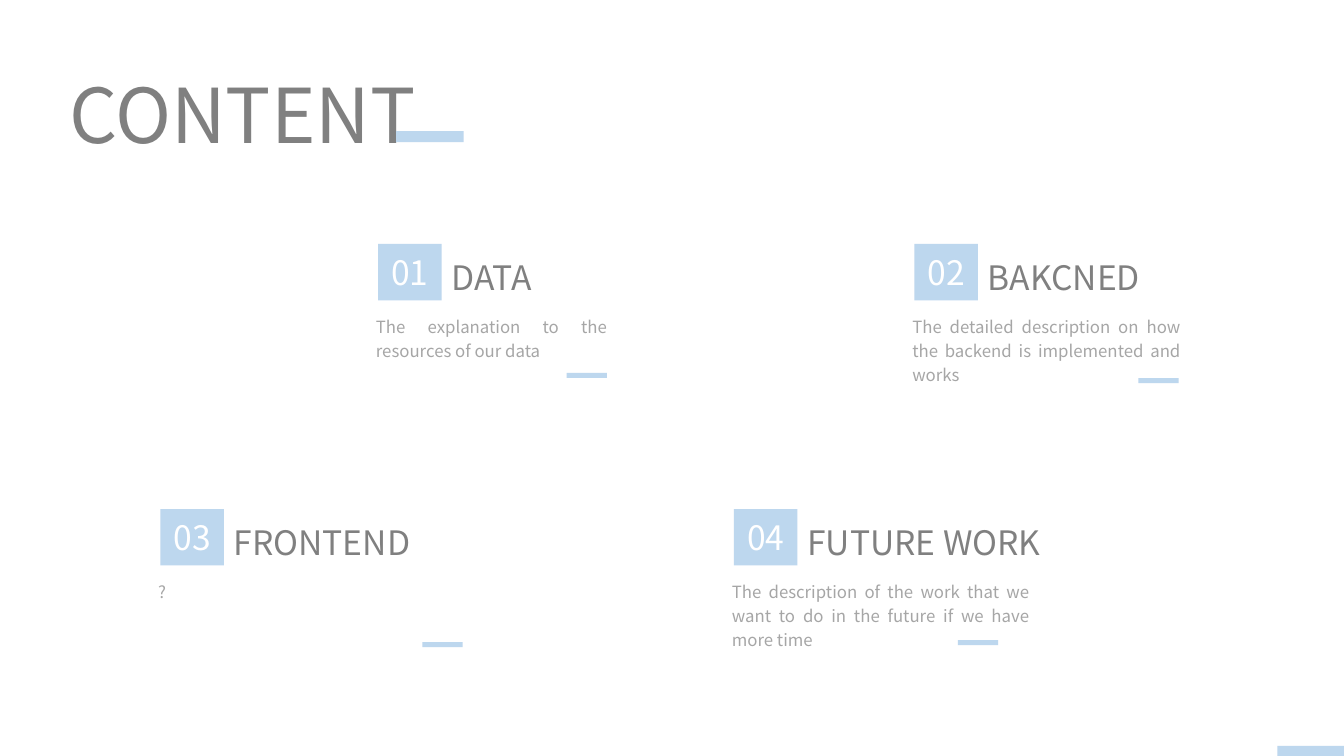
from dataclasses import dataclass

from pptx import Presentation
from pptx.dml.color import RGBColor
from pptx.enum import shapes, text
from pptx.shapes.autoshape import Shape
from pptx.slide import Slide
from pptx.util import Inches, Pt

FONT = "Noto Sans CJK SC"
BLUE = RGBColor(0xBD, 0xD7, 0xEE)
WHITE = RGBColor(0xFF, 0xFF, 0xFF)
DARK_GRAY = RGBColor(0x80, 0x80, 0x80)
LIGHT_GRAY = RGBColor(0xA6, 0xA6, 0xA6)


@dataclass(frozen=True)
class Section:
    number: str
    heading: str
    description: str
    left: float
    top: float
    description_width: float
    dash_left: float
    dash_top: float


SECTIONS = [
    Section("01", "DATA", "The explanation to the resources of our data",
            3.75, 2.42, 2.49, 5.62, 3.7),
    Section("02", "BAKCNED",
            "The detailed description on how the backend is implemented and works",
            9.07, 2.42, 2.86, 11.29, 3.75),
    Section("03", "FRONTEND", "?", 1.59, 5.05, 3.23, 4.19, 6.37),
    Section("04", "FUTURE WORK",
            "The description of the work that we want to do in the future "
            "if we have more time",
            7.28, 5.05, 3.15, 9.5, 6.35),
]


def add_block(s: Slide, left: float, top: float, width: float, height: float) -> Shape:
    sp = s.shapes.add_shape(shapes.MSO_SHAPE.RECTANGLE, Inches(left), Inches(top),
                            Inches(width), Inches(height))
    sp.shadow.inherit = False
    sp.fill.solid()
    sp.fill.fore_color.rgb = BLUE
    sp.line.fill.background()
    return sp


def write(sp: Shape, words: str, size: int, color: RGBColor,
          align: text.PP_ALIGN = text.PP_ALIGN.LEFT,
          line_spacing: float = 1.0, space_before: int = 0) -> None:
    tf = sp.text_frame
    tf.word_wrap = True
    tf.auto_size = text.MSO_AUTO_SIZE.SHAPE_TO_FIT_TEXT
    p = tf.paragraphs[0]
    p.text = words
    p.alignment = align
    p.line_spacing = line_spacing
    p.space_before = Pt(space_before)
    p.font.name = FONT
    p.font.size = Pt(size)
    p.font.color.rgb = color


def add_text_box(s: Slide, left: float, top: float, width: float, height: float) -> Shape:
    return s.shapes.add_textbox(Inches(left), Inches(top), Inches(width), Inches(height))


def add_section(s: Slide, section: Section) -> None:
    left, top = section.left, section.top
    badge = add_block(s, left, top, 0.63, 0.56)
    badge.text_frame.vertical_anchor = text.MSO_ANCHOR.MIDDLE
    write(badge, section.number, 24, WHITE, text.PP_ALIGN.CENTER)

    heading = add_text_box(s, left + 0.63, top + 0.12, 2.83, 0.46)
    write(heading, section.heading, 24, DARK_GRAY, line_spacing=0.9, space_before=10)

    description = add_text_box(s, left - 0.12, top + 0.63, section.description_width, 0.57)
    write(description, section.description, 12, LIGHT_GRAY, text.PP_ALIGN.JUSTIFY, 1.2)

    add_block(s, section.dash_left, section.dash_top, 0.4, 0.05)


def main() -> None:
    prs = Presentation()
    prs.slide_width, prs.slide_height = Inches(13.33), Inches(7.5)
    s = prs.slides.add_slide(prs.slide_layouts[6])

    # Corner accent
    add_block(s, 12.67, 7.4, 0.67, 0.11)

    # Title and its underline
    write(add_text_box(s, 0.59, 0.62, 6.66, 1.01), "CONTENT", 54, DARK_GRAY)
    add_block(s, 3.93, 1.3, 0.67, 0.11)

    # Numbered sections
    for section in SECTIONS:
        add_section(s, section)

    prs.save("out.pptx")


if __name__ == "__main__":
    main()
